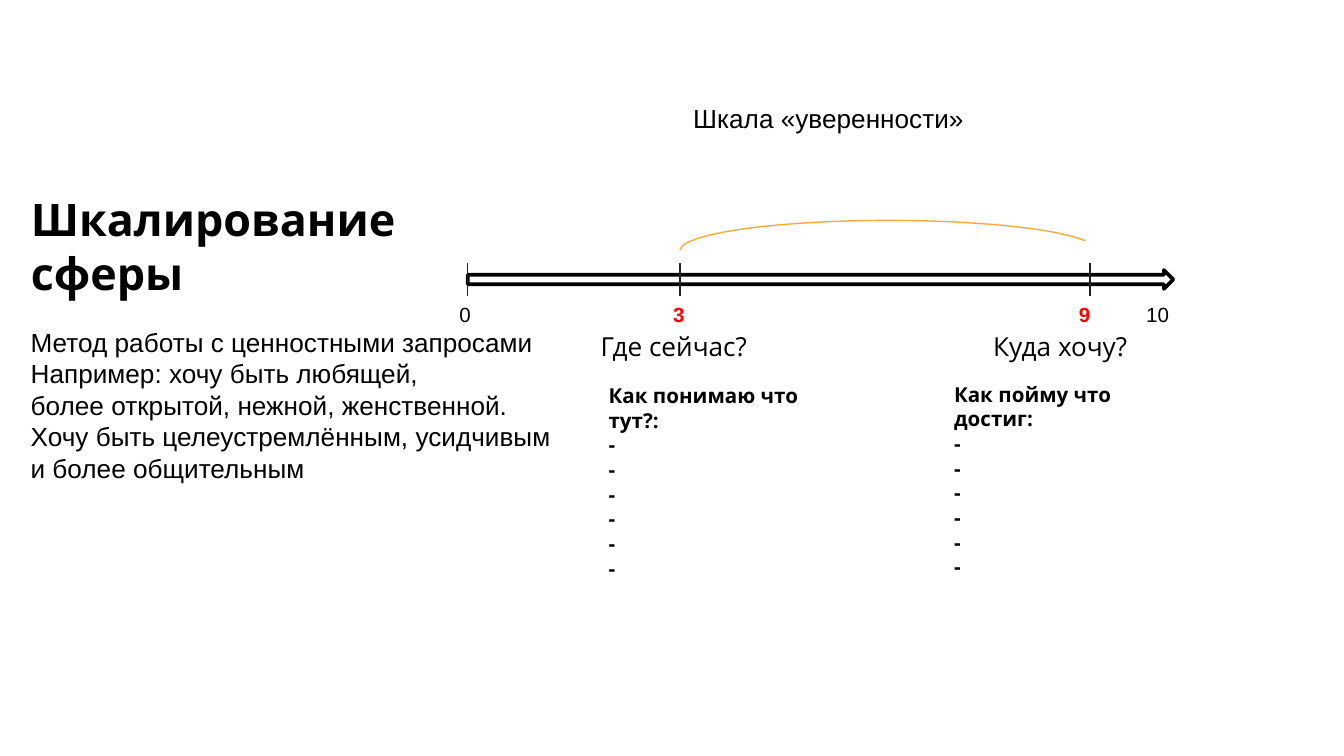
from pptx import Presentation
from pptx.dml.color import RGBColor
from pptx.enum.shapes import MSO_CONNECTOR, MSO_SHAPE
from pptx.enum.text import MSO_ANCHOR, PP_ALIGN
from pptx.oxml.ns import qn
from pptx.util import Inches, Pt
from lxml import etree

LINE = MSO_CONNECTOR.STRAIGHT
ARROW = MSO_SHAPE.RIGHT_ARROW
ARC = MSO_SHAPE.ARC
MIDDLE = MSO_ANCHOR.MIDDLE
LEFT = PP_ALIGN.LEFT


def color(code):
    return RGBColor.from_string(code)


def write(box, lines, size, font, bold=False, ink="000000"):
    frame = box.text_frame
    frame.word_wrap = True
    frame.text = "\n".join(lines)
    for para in frame.paragraphs:
        para.alignment = LEFT
        para.font.size = Pt(size)
        para.font.name = font
        para.font.bold = bold
        para.font.color.rgb = color(ink)


deck = Presentation()
deck.slide_width = Inches(10)
deck.slide_height = Inches(10) * 9 // 16
slide = deck.slides.add_slide(deck.slide_layouts[5])
shapes = slide.shapes

title = shapes.title
title.left, title.top = Inches(0.13), Inches(1.32)
title.width, title.height = Inches(3.18), Inches(1.01)
write(title, ["Шкалирование \vсферы"], 24, "Open Sans", True)
title.text_frame.vertical_anchor = MIDDLE

axis = shapes.add_shape(ARROW, Inches(3.48), Inches(2.01), Inches(5.25), Inches(0.14))
axis.shadow.inherit = False
axis.fill.solid()
axis.fill.fore_color.rgb = color("FFFFFF")
axis.line.color.rgb = color("000000")
axis.line.width = Pt(2)

for x in (3.48, 5.06, 8.11):
    tick = shapes.add_connector(LINE, Inches(x), Inches(1.96), Inches(x), Inches(2.2))
    tick.line.color.rgb = color("202020")
    tick.line.width = Pt(0.75)
    etree.SubElement(tick._element.spPr, qn("a:effectLst"))

arc = shapes.add_shape(ARC, Inches(5.06), Inches(1.64), Inches(3.1), Inches(0.45))
arc.shadow.inherit = False
arc.adjustments[0] = 108.06
arc.adjustments[1] = 214.284
arc.fill.background()
arc.line.color.rgb = color("FEA83A")
arc.line.width = Pt(0.75)

marks = [
    ("0", 3.32, 0.36, False, "000000"),
    ("3", 4.91, 0.36, True, "FF0000"),
    ("9", 7.93, 0.36, True, "FF0000"),
    ("10", 8.43, 0.61, False, "000000"),
]
for text, x, width, bold, ink in marks:
    box = shapes.add_textbox(Inches(x), Inches(2.2), Inches(width), Inches(0.32))
    write(box, [text], 11, "Arial", bold, ink)

dashes = ["-"] * 6
method = [
    "Метод работы с ценностными запросами",
    "Например: хочу быть любящей,",
    "более открытой, нежной, женственной.",
    "Хочу быть целеустремлённым, усидчивым",
    "и более общительным",
]
notes = [
    (["Где сейчас?"], 4.37, 2.41, 1.78, 0.38, 14, "Open Sans", False),
    (["Куда хочу?"], 7.29, 2.41, 1.78, 0.38, 14, "Open Sans", False),
    (["Как понимаю что тут?:"] + dashes, 4.43, 2.8, 1.78, 1.79, 11, "Open Sans", True),
    (["Как пойму что достиг:"] + dashes, 7, 2.79, 1.78, 1.79, 11, "Open Sans", True),
    (method, 0.13, 2.38, 5, 1.28, 14, "Arial", False),
    (["Шкала «уверенности»"], 5.06, 0.71, 5, 0.57, 14, "Arial", False),
]
for lines, x, y, width, height, size, font, bold in notes:
    box = shapes.add_textbox(Inches(x), Inches(y), Inches(width), Inches(height))
    write(box, lines, size, font, bold)

deck.save("out.pptx")
